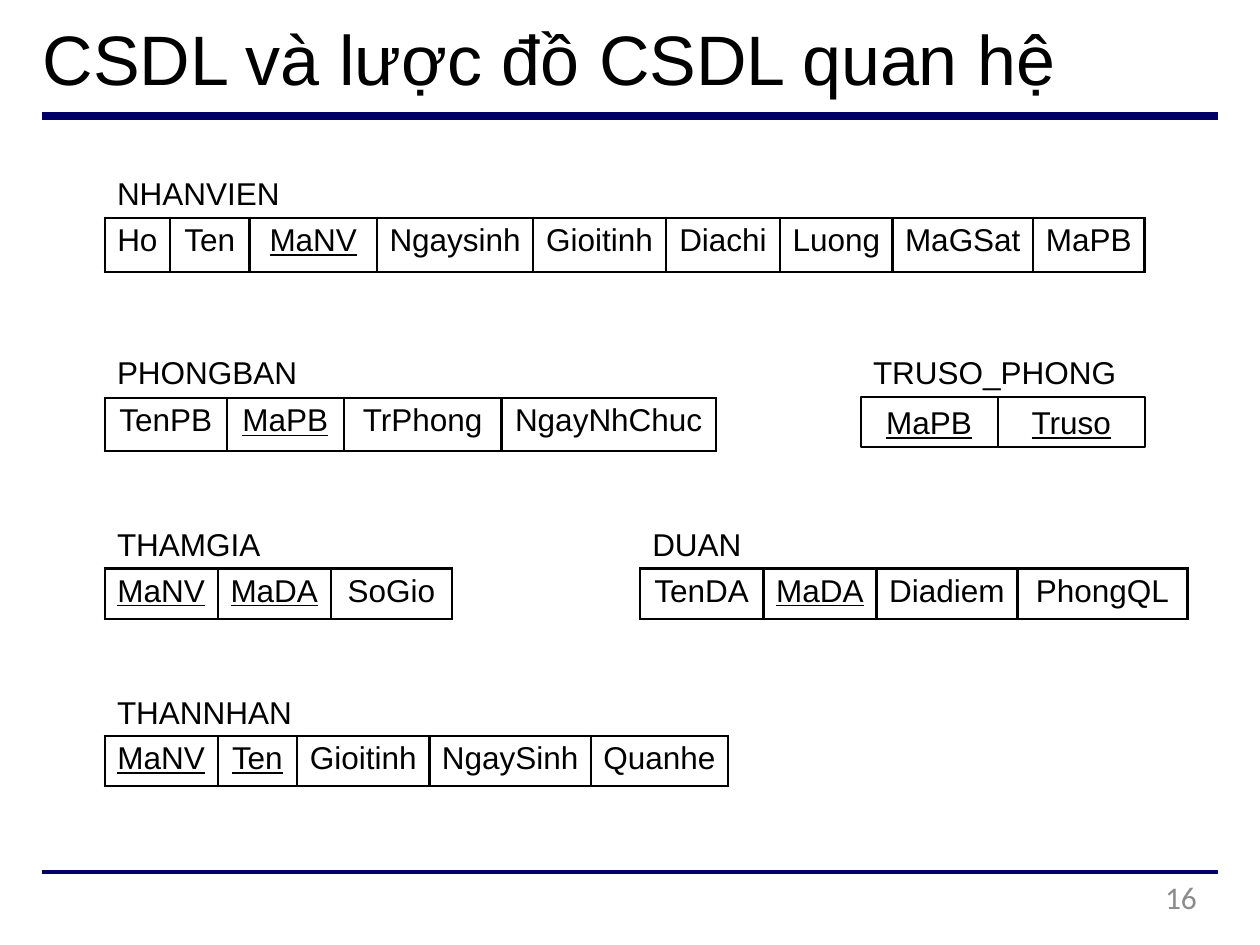
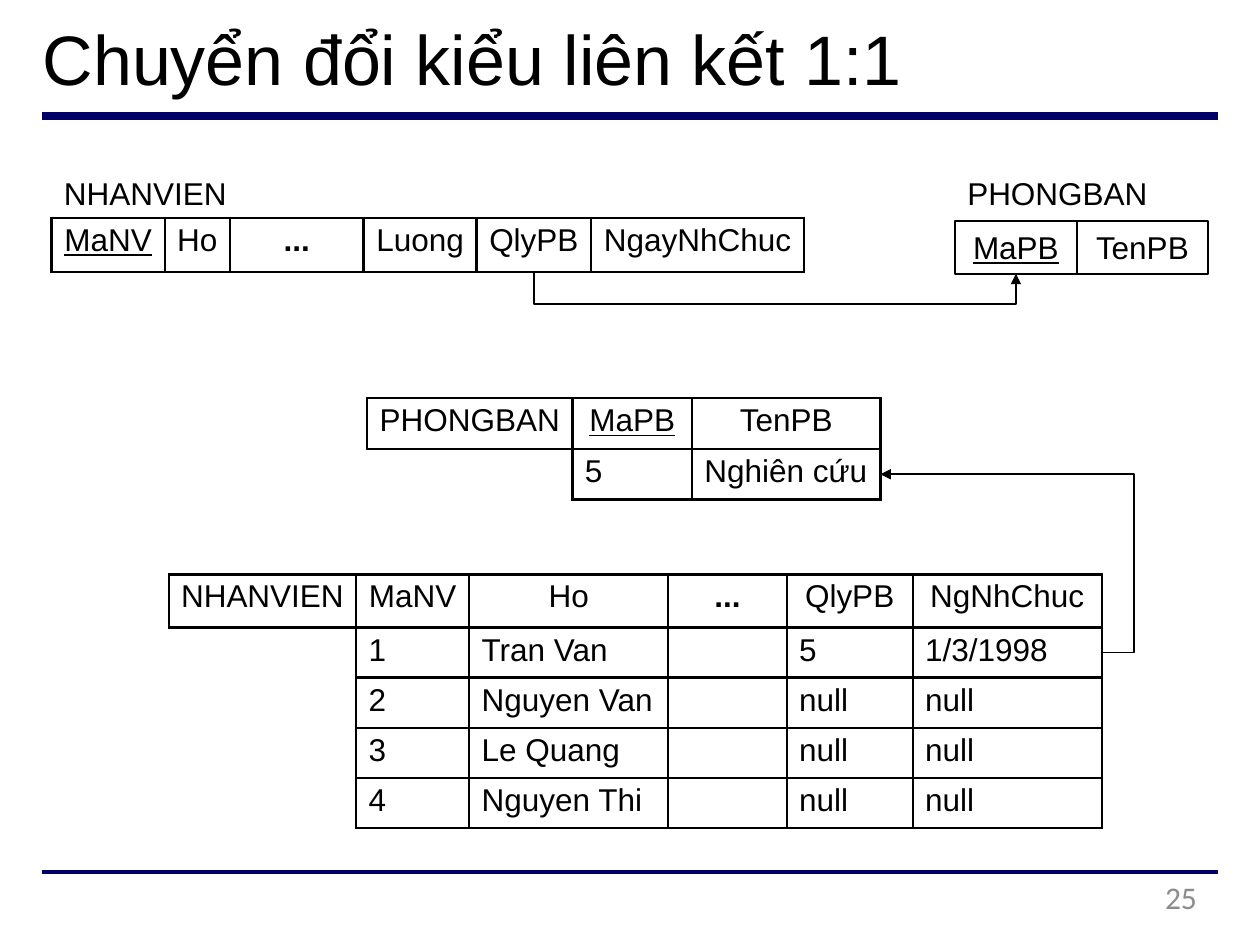
"""Builds two slides on relational schemas and the mapping of a 1:1 relationship."""
import pptx
import pptx.dml.color
import pptx.enum.shapes
import pptx.enum.text
import pptx.oxml.ns
import pptx.util
from lxml import etree

Cm, Pt = pptx.util.Cm, pptx.util.Pt
ALIGN, ANCHOR = pptx.enum.text.PP_ALIGN, pptx.enum.text.MSO_ANCHOR
COLORS = {"ink": "000000", "rule": "000066", "page": "8C8C8C"}
KEY = "*"

# Lengths are centimetres; KEY marks an underlined key attribute.
EMPLOYEE = dict(
    label="NHANVIEN", label_y=3.45, x=1.04, y=4.39, heights=[1.09],
    widths=[2.28, 1.32, 2.69, 2.28, 2.31, 4.29],
    rows=[["*MaNV", "Ho", "...", "Luong", "QlyPB", "NgayNhChuc"]])
DEPARTMENT = dict(
    label="PHONGBAN", label_y=3.45, x=19.25, y=4.45, heights=[1.07], boxes=True,
    widths=[2.46, 2.64], rows=[["*MaPB", "TenPB"]])
DEPARTMENT_DATA = dict(
    x=7.4, y=8.03, heights=[1.02] * 2, widths=[4.14, 2.41, 3.8],
    rows=[["PHONGBAN", "*MaPB", "TenPB"], ["", "5", "Nghiên cứu"]])
EMPLOYEE_DATA = dict(
    x=3.4, y=11.58, heights=[1.07] + [1.01] * 4,
    widths=[3.78, 2.28, 4.01, 2.39, 2.54, 3.81],
    rows=[["NHANVIEN", "MaNV", "Ho", "...", "QlyPB", "NgNhChuc"],
          ["", "1", "Tran Van", "", "5", "1/3/1998"],
          ["", "2", "Nguyen Van", "", "null", "null"],
          ["", "3", "Le Quang", "", "null", "null"],
          ["", "4", "Nguyen Thi", "", "null", "null"]])
SCHEMA = [
    dict(label="NHANVIEN", label_y=3.45, x=2.11, y=4.39, heights=[1.09],
         widths=[1.32, 1.6, 2.57, 3.15, 2.67, 2.31, 2.26, 2.84, 2.24],
         rows=[["Ho", "Ten", "*MaNV", "Ngaysinh", "Gioitinh", "Diachi",
                "Luong", "MaGSat", "MaPB"]]),
    dict(label="PHONGBAN", label_y=7.06, x=2.11, y=8.03, heights=[1.06],
         widths=[2.46, 2.36, 3.18, 4.32],
         rows=[["TenPB", "*MaPB", "TrPhong", "NgayNhChuc"]]),
    dict(label="TRUSO_PHONG", label_y=7.06, x=17.35, y=8, heights=[1.02], boxes=True,
         widths=[2.76, 2.97], rows=[["*MaPB", "*Truso"]]),
    dict(label="THAMGIA", label_y=10.54, x=2.11, y=11.46, heights=[1.02],
         widths=[2.28, 2.28, 2.44], rows=[["*MaNV", "*MaDA", "SoGio"]]),
    dict(label="DUAN", label_y=10.54, x=12.9, y=11.46, heights=[1.02],
         widths=[2.49, 2.28, 2.84, 3.43],
         rows=[["TenDA", "*MaDA", "Diadiem", "PhongQL"]]),
    dict(label="THANNHAN", label_y=13.92, x=2.11, y=14.83, heights=[1.02],
         widths=[2.28, 1.6, 2.67, 3.25, 2.77],
         rows=[["*MaNV", "*Ten", "Gioitinh", "NgaySinh", "Quanhe"]]),
]


def col_mid(rel, col):
    return rel["x"] + sum(rel["widths"][:col]) + rel["widths"][col] / 2


def row_mid(rel, row):
    return rel["y"] + sum(rel["heights"][:row]) + rel["heights"][row] / 2


def right(rel):
    return rel["x"] + sum(rel["widths"])


def bottom(rel):
    return rel["y"] + sum(rel["heights"])


LINK_Y, LINK_X = 6.13, 22.86
LINKS = [
    [(col_mid(EMPLOYEE, 4), bottom(EMPLOYEE)), (col_mid(EMPLOYEE, 4), LINK_Y),
     (col_mid(DEPARTMENT, 0), LINK_Y), (col_mid(DEPARTMENT, 0), bottom(DEPARTMENT))],
    [(right(EMPLOYEE_DATA), row_mid(EMPLOYEE_DATA, 1)),
     (LINK_X, row_mid(EMPLOYEE_DATA, 1)), (LINK_X, row_mid(DEPARTMENT_DATA, 1)),
     (right(DEPARTMENT_DATA), row_mid(DEPARTMENT_DATA, 1))],
]
SLIDES = [
    ("CSDL và lược đồ CSDL quan hệ", "16", SCHEMA, []),
    ("Chuyển đổi kiểu liên kết 1:1", "25",
     [EMPLOYEE, DEPARTMENT, DEPARTMENT_DATA, EMPLOYEE_DATA], LINKS),
]


def rgb(name):
    return pptx.dml.color.RGBColor.from_string(COLORS[name])


def write(tf, text, size=18, color="ink", font="Arial", align=ALIGN.LEFT):
    p = tf.paragraphs[0]
    p.alignment = align
    r = p.add_run()
    r.text = text.lstrip(KEY)
    r.font.name, r.font.size = font, Pt(size)
    r.font.color.rgb = rgb(color)
    r.font.underline = text.startswith(KEY)
    r.font.bold = text == "..."


def set_frame(tf, top=0.0, anchor=ANCHOR.TOP, wrap=True):
    tf.auto_size = pptx.enum.text.MSO_AUTO_SIZE.NONE
    tf.margin_left = tf.margin_right = tf.margin_bottom = 0
    tf.margin_top = Cm(top)
    tf.vertical_anchor, tf.word_wrap = anchor, wrap


def add_text(s, text, x, y, w, h, top=0.0, **style):
    tf = s.shapes.add_textbox(Cm(x), Cm(y), Cm(w), Cm(h)).text_frame
    set_frame(tf, top)
    write(tf, text, **style)


def add_rule(s, y, width):
    line = s.shapes.add_connector(pptx.enum.shapes.MSO_CONNECTOR.STRAIGHT,
                                  Cm(0.84), Cm(y), Cm(24.56), Cm(y))
    line.line.color.rgb, line.line.width = rgb("rule"), Pt(width)
    props = line._element.spPr
    etree.SubElement(props, pptx.oxml.ns.qn("a:effectLst"))


def set_borders(cell, sides):
    tag = pptx.oxml.ns.qn
    props = cell._tc.get_or_add_tcPr()
    for side in "LRTB":
        ln = etree.SubElement(props, tag("a:ln" + side), w=str(Pt(1.5)))
        if side in sides:
            fill = etree.SubElement(ln, tag("a:solidFill"))
            etree.SubElement(fill, tag("a:srgbClr"), val=COLORS["ink"])
        else:
            etree.SubElement(ln, tag("a:noFill"))


def add_table(s, rel):
    rows, widths, heights = rel["rows"], rel["widths"], rel["heights"]
    table = s.shapes.add_table(len(rows), len(widths), Cm(rel["x"]), Cm(rel["y"]),
                               Cm(sum(widths)), Cm(sum(heights))).table
    table.first_row = table.horz_banding = False
    for column, w in zip(table.columns, widths):
        column.width = Cm(w)
    for row, h in zip(table.rows, heights):
        row.height = Cm(h)
    for i, texts in enumerate(rows):
        for j, text in enumerate(texts):
            cell = table.cell(i, j)
            cell.margin_left = Cm(0.25 if i else 0)
            cell.margin_right = cell.margin_bottom = 0
            cell.margin_top = Cm(0.1)
            blank_lead = i > 0 and j == 0
            set_borders(cell, ("TR" if i == 1 else "R") if blank_lead else "LRTB")
            cell.fill.background()
            if text:
                write(cell.text_frame, text, align=ALIGN.LEFT if i else ALIGN.CENTER)
    if len(rows) > 2:
        table.cell(1, 0).merge(table.cell(len(rows) - 1, 0))


def add_boxes(s, rel):
    for j, (text, w) in enumerate(zip(rel["rows"][0], rel["widths"])):
        box = s.shapes.add_shape(pptx.enum.shapes.MSO_SHAPE.RECTANGLE,
                                 Cm(col_mid(rel, j) - w / 2), Cm(rel["y"]),
                                 Cm(w), Cm(rel["heights"][0]))
        box.shadow.inherit = False
        box.fill.background()
        box.line.color.rgb, box.line.width = rgb("ink"), Pt(1.1)
        set_frame(box.text_frame, anchor=ANCHOR.MIDDLE)
        write(box.text_frame, text, align=ALIGN.CENTER)


def add_link(s, points):
    start, *rest = [(Cm(x), Cm(y)) for x, y in points]
    builder = s.shapes.build_freeform(*start)
    builder.add_line_segments(rest, close=False)
    link = builder.convert_to_shape()
    link.shadow.inherit = False
    link.fill.background()
    link.line.color.rgb, link.line.width = rgb("ink"), Pt(1)
    etree.SubElement(link.line._get_or_add_ln(), pptx.oxml.ns.qn("a:tailEnd"),
                     type="triangle")


def add_slide(prs, title, page, relations, links):
    s = prs.slides.add_slide(prs.slide_layouts[5])
    add_rule(s, 2.34, 4.5)
    add_rule(s, 17.58, 2.25)
    sp = s.shapes.title
    sp.left, sp.top, sp.width, sp.height = Cm(0.86), Cm(0.28), Cm(21.97), Cm(1.75)
    set_frame(sp.text_frame, 0.03)
    write(sp.text_frame, title, size=40)
    for rel in relations:
        if "label" in rel:
            add_text(s, rel["label"], rel["x"] + 0.25, rel["label_y"], 5, 0.84, top=0.05)
        (add_boxes if rel.get("boxes") else add_table)(s, rel)
    for points in links:
        add_link(s, points)
    add_text(s, page, 18.29, 17.7, 5.84, 0.97, color="page", font="Calibri",
             align=ALIGN.RIGHT)


def main():
    prs = pptx.Presentation()
    prs.slide_width, prs.slide_height = Cm(25.4), Cm(19.05)
    for content in SLIDES:
        add_slide(prs, *content)
    prs.save("out.pptx")


if __name__ == "__main__":
    main()
